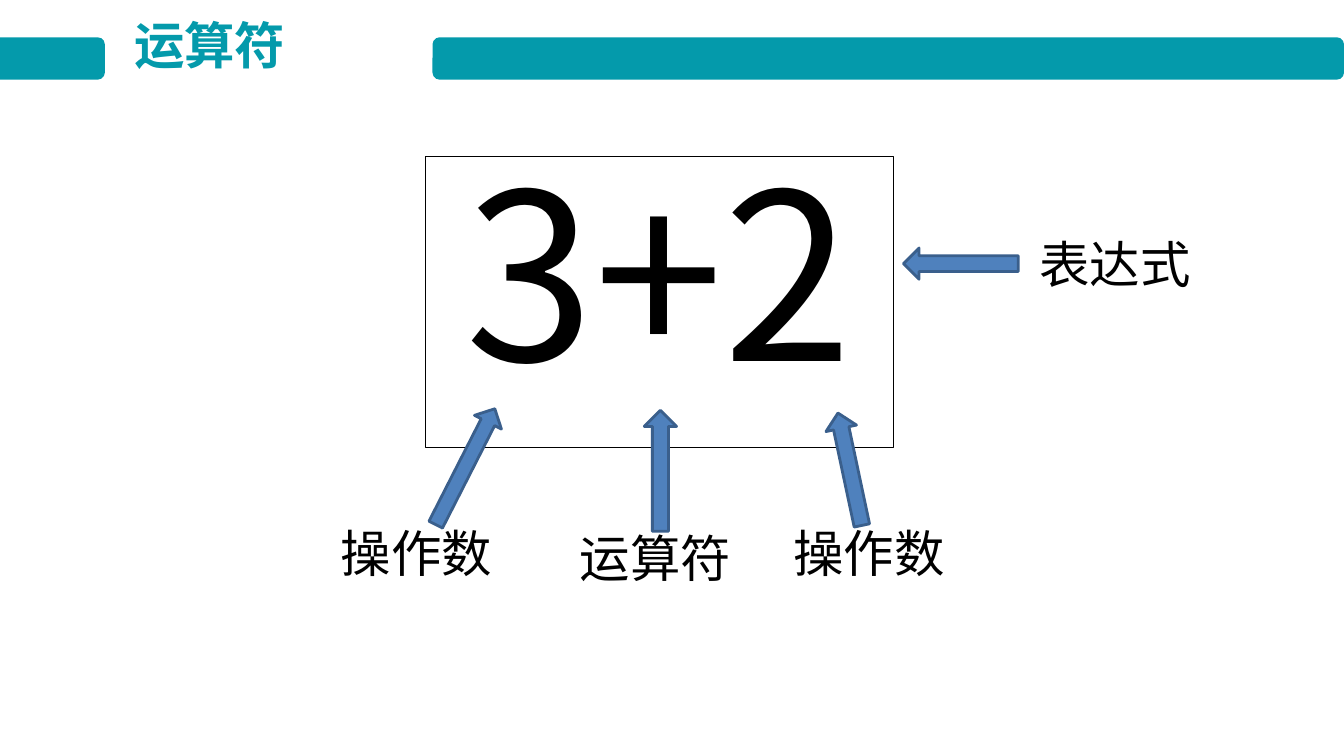
import pptx
import pptx.dml.color
import pptx.enum.shapes
import pptx.enum.text
import pptx.oxml.ns
import pptx.util
from lxml import etree
from pptx.util import Inches

TEAL = pptx.dml.color.RGBColor(0x04, 0x9A, 0xAB)
BLACK = pptx.dml.color.RGBColor(0x00, 0x00, 0x00)
ARROW_BLUE = pptx.dml.color.RGBColor(0x4F, 0x81, 0xBD)
ARROW_EDGE = pptx.dml.color.RGBColor(0x3A, 0x5F, 0x8C)
FONT = "Noto Sans CJK SC"
SHAPES = pptx.enum.shapes.MSO_SHAPE
ALIGN = pptx.enum.text.PP_ALIGN


def write_text(shape, text, size, color=BLACK, bold=False, align=ALIGN.LEFT):
    frame = shape.text_frame
    frame.text = text
    frame.word_wrap = True
    frame.auto_size = pptx.enum.text.MSO_AUTO_SIZE.NONE
    frame.vertical_anchor = pptx.enum.text.MSO_ANCHOR.TOP
    paragraph = frame.paragraphs[0]
    paragraph.alignment = align
    paragraph.line_spacing = 0.9
    paragraph.space_before = pptx.util.Pt(0)
    font = paragraph.runs[0].font
    font.name = FONT
    font.size = pptx.util.Pt(size)
    font.bold = bold
    font.color.rgb = color
    east_asian = etree.SubElement(font._element, pptx.oxml.ns.qn("a:ea"))
    east_asian.set("typeface", FONT)


def add_title(slide, text):
    title = slide.shapes.title
    title.left, title.top = Inches(1.23), Inches(0.16)
    title.width, title.height = Inches(2.44), Inches(0.71)
    write_text(title, text, 36, TEAL, bold=True)


def add_shape(slide, kind, left, top, width, height, fill=None, line=None, line_width=0.75):
    shape = slide.shapes.add_shape(
        kind, Inches(left), Inches(top), Inches(width), Inches(height))
    shape.shadow.inherit = False
    if fill is None:
        shape.fill.background()
    else:
        shape.fill.solid()
        shape.fill.fore_color.rgb = fill
    if line is None:
        shape.line.fill.background()
    else:
        shape.line.color.rgb = line
        shape.line.width = pptx.util.Pt(line_width)
    return shape


def add_arrow(slide, left, top, width, height, rotation):
    arrow = add_shape(slide, SHAPES.RIGHT_ARROW, left, top, width, height,
                      ARROW_BLUE, ARROW_EDGE, 2)
    arrow.rotation = rotation


def add_label(slide, text, left, top):
    label = slide.shapes.add_textbox(Inches(left), Inches(top), Inches(1.79), Inches(0.9))
    write_text(label, text, 36)


def main():
    presentation = pptx.Presentation()
    presentation.slide_width = Inches(13.33)
    presentation.slide_height = Inches(7.5)
    slide = presentation.slides.add_slide(presentation.slide_layouts[5])

    add_title(slide, "运算符")
    for left, width in ((-0.43, 1.47), (4.29, 9.04)):
        add_shape(slide, SHAPES.ROUNDED_RECTANGLE, left, 0.37, width, 0.42, TEAL)

    expression = add_shape(slide, SHAPES.RECTANGLE, 4.22, 1.55, 4.64, 2.89, line=BLACK)
    write_text(expression, "3+2", 166, align=ALIGN.CENTER)

    for left, top, width, height, rotation in (
        (3.97, 4.48, 1.29, 0.3, 297),
        (5.95, 4.51, 1.2, 0.32, 270),
        (7.86, 4.5, 1.14, 0.31, 258),
        (8.96, 2.46, 1.14, 0.31, 180),
    ):
        add_arrow(slide, left, top, width, height, rotation)

    for text, left, top in (
        ("操作数", 3.28, 5.2),
        ("运算符", 5.65, 5.25),
        ("操作数", 7.77, 5.2),
        ("表达式", 10.21, 2.33),
    ):
        add_label(slide, text, left, top)

    presentation.save("out.pptx")


if __name__ == "__main__":
    main()
